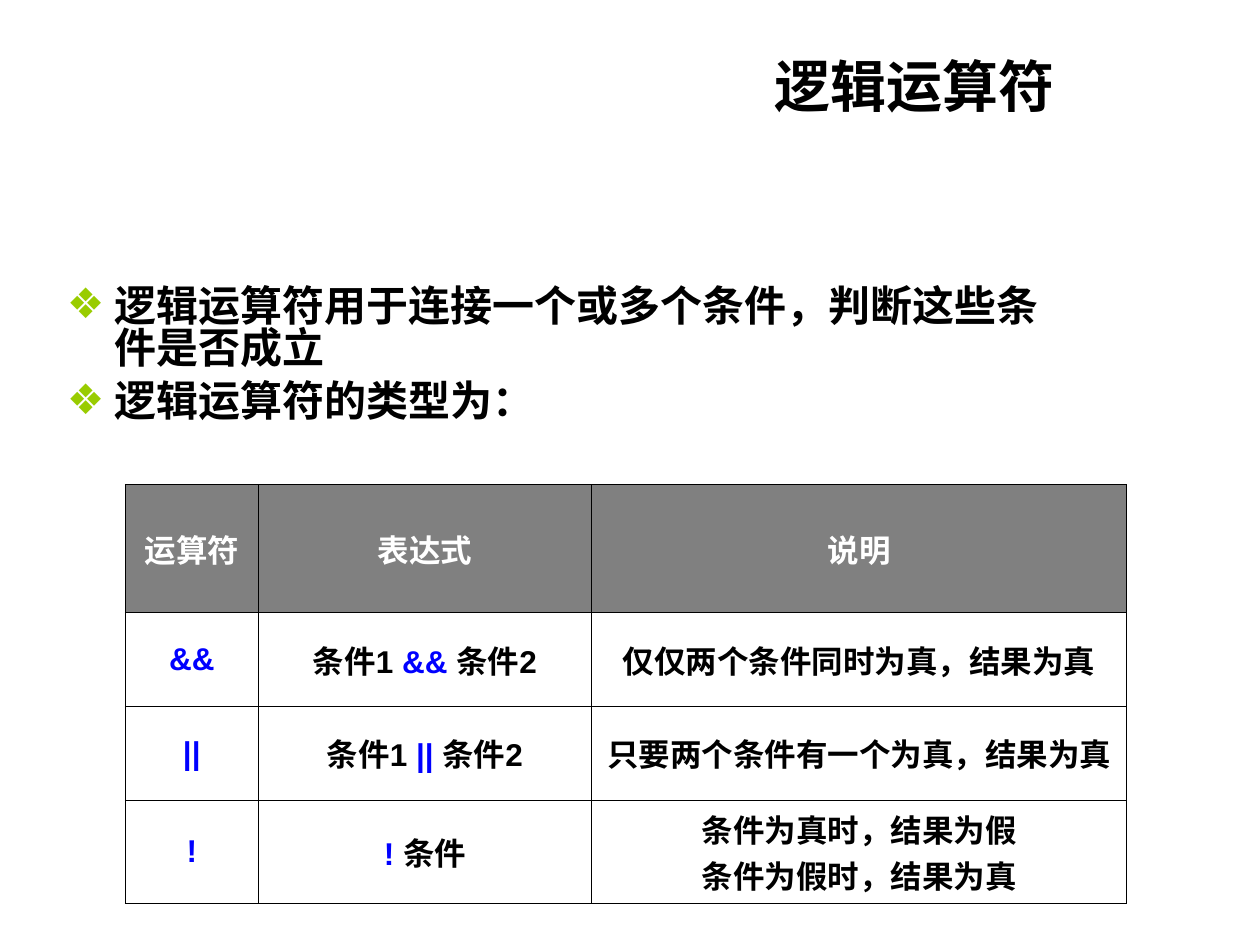
from lxml.etree import SubElement
from pptx import Presentation
from pptx.dml.color import RGBColor
from pptx.enum.text import MSO_ANCHOR, MSO_AUTO_SIZE, PP_ALIGN
from pptx.oxml.ns import qn
from pptx.util import Pt

BLACK = RGBColor(0x00, 0x00, 0x00)
WHITE = RGBColor(0xFF, 0xFF, 0xFF)
BLUE = RGBColor(0x00, 0x00, 0xFF)
GRAY = RGBColor(0x80, 0x80, 0x80)
LIME = RGBColor(0x99, 0xCC, 0x00)

TITLE_FONT = {"name": "Arial", "size": Pt(32), "bold": True}
BODY_FONT = {"name": "Arial", "size": Pt(24), "bold": True}
TABLE_FONT = {"name": "Arial", "size": Pt(18), "bold": True}

POINTS = [
    "逻辑运算符用于连接一个或多个条件，判断这些条件是否成立",
    "逻辑运算符的类型为：",
]
HEADINGS = ["运算符", "表达式", "说明"]
OPERATORS = [
    ("&&", "条件1 ", "条件2", ["仅仅两个条件同时为真，结果为真"]),
    ("||", "条件1 ", "条件2", ["只要两个条件有一个为真，结果为真"]),
    ("!", "", "条件", ["条件为真时，结果为假", "条件为假时，结果为真"]),
]
COLUMN_WIDTHS = [76.2, 190.2, 306]
ROW_HEIGHTS = [73.2, 53.6, 53.6, 50.4]


def apply_format(target, values):
    """Set each named attribute of the target."""
    for attribute, value in values.items():
        setattr(target, attribute, value)


def place(holder, left, top, width, height):
    """Move and size a placeholder, in points."""
    bounds = {"left": left, "top": top, "width": width, "height": height}
    apply_format(holder, {side: Pt(length) for side, length in bounds.items()})


def add_run(paragraph, text, font, color):
    """Append a formatted run to a paragraph."""
    run = paragraph.add_run()
    run.text = text
    apply_format(run.font, font)
    run.font.color.rgb = color


def next_paragraph(frame, index):
    """Return the first paragraph of a frame, or a new one after it."""
    return frame.add_paragraph() if index else frame.paragraphs[0]


def fill_title(title):
    """Write the right-aligned slide title."""
    place(title, 320.4, 26, 289.4, 45.4)
    apply_format(title.text_frame, {
        "vertical_anchor": MSO_ANCHOR.MIDDLE,
        "auto_size": MSO_AUTO_SIZE.SHAPE_TO_FIT_TEXT,
    })
    heading = title.text_frame.paragraphs[0]
    heading.alignment = PP_ALIGN.RIGHT
    add_run(heading, "逻辑运算符", TITLE_FONT, BLACK)


def add_bullet(paragraph):
    """Give a paragraph a lime diamond bullet."""
    properties = paragraph._p.get_or_add_pPr()
    tint = SubElement(properties, qn("a:buClr"))
    SubElement(tint, qn("a:srgbClr"), val=str(LIME))
    SubElement(properties, qn("a:buChar"), char="❖")


def fill_points(body):
    """Write the bulleted points."""
    place(body, 31, 160.6, 590.4, 99.4)
    body.text_frame.auto_size = MSO_AUTO_SIZE.NONE
    for index, text in enumerate(POINTS):
        point = next_paragraph(body.text_frame, index)
        add_bullet(point)
        apply_format(point, {
            "line_spacing": 0.84,
            "space_before": Pt(6 if index else 0),
        })
        add_run(point, text, BODY_FONT, BLACK)


def add_borders(cell):
    """Draw thin black lines on all sides of a cell."""
    properties = cell._tc.get_or_add_tcPr()
    for side in ("lnL", "lnR", "lnT", "lnB"):
        border = SubElement(properties, qn(f"a:{side}"), w=str(Pt(0.45)))
        paint = SubElement(border, qn("a:solidFill"))
        SubElement(paint, qn("a:srgbClr"), val=str(BLACK))


def fill_cell(cell, lines, background=None):
    """Write lines of (text, color) runs into a bordered cell."""
    cell.vertical_anchor = MSO_ANCHOR.MIDDLE
    add_borders(cell)
    if background is None:
        cell.fill.background()
    else:
        cell.fill.solid()
        cell.fill.fore_color.rgb = background
    for index, line in enumerate(lines):
        paragraph = next_paragraph(cell.text_frame, index)
        paragraph.alignment = PP_ALIGN.CENTER
        for text, color in line:
            if text:
                add_run(paragraph, text, TABLE_FONT, color)


def add_operator_table(slide):
    """Add the table of operators, expressions and meanings."""
    table = slide.shapes.add_table(
        len(ROW_HEIGHTS), len(COLUMN_WIDTHS), Pt(71.5), Pt(276.8),
        Pt(sum(COLUMN_WIDTHS)), Pt(sum(ROW_HEIGHTS))).table
    for column, width in zip(table.columns, COLUMN_WIDTHS):
        column.width = Pt(width)
    for row, height in zip(table.rows, ROW_HEIGHTS):
        row.height = Pt(height)
    for index, heading in enumerate(HEADINGS):
        fill_cell(table.cell(0, index), [[(heading, WHITE)]], GRAY)
    for row, (operator, left, right, meanings) in enumerate(OPERATORS, 1):
        expression = [(left, BLACK), (operator + " ", BLUE), (right, BLACK)]
        fill_cell(table.cell(row, 0), [[(operator, BLUE)]])
        fill_cell(table.cell(row, 1), [expression])
        fill_cell(table.cell(row, 2), [[(line, BLACK)] for line in meanings])


def main():
    """Build and save the slide."""
    deck = Presentation()
    apply_format(deck, {"slide_width": Pt(720), "slide_height": Pt(540)})
    slide = deck.slides.add_slide(deck.slide_layouts[1])
    fill_title(slide.shapes.title)
    fill_points(slide.placeholders[1])
    add_operator_table(slide)
    deck.save("out.pptx")


if __name__ == "__main__":
    main()
